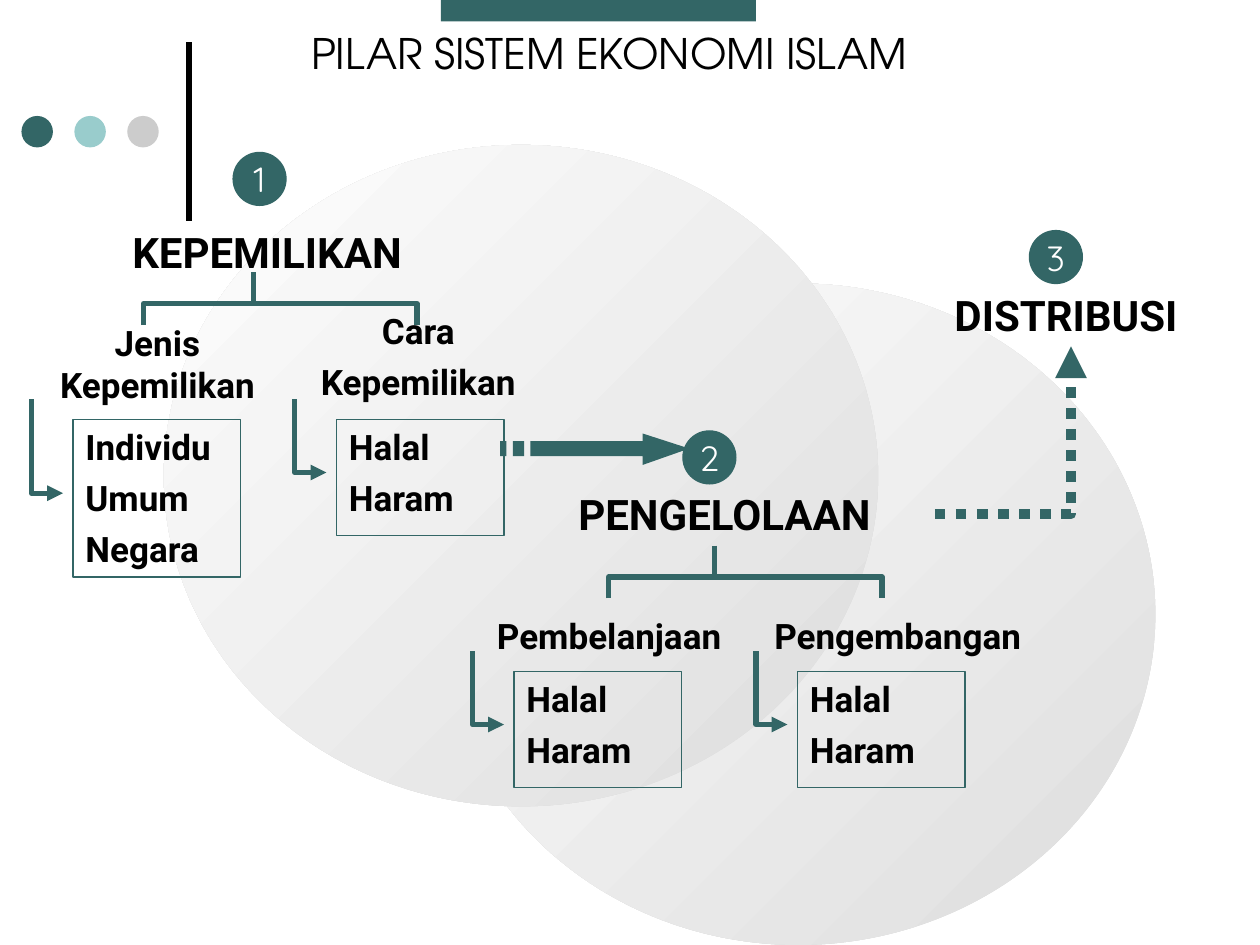
from dataclasses import dataclass

from lxml.etree import SubElement
from pptx import Presentation
from pptx.dml.color import RGBColor
from pptx.enum.dml import MSO_LINE
from pptx.enum.shapes import MSO_CONNECTOR, MSO_SHAPE
from pptx.enum.text import MSO_ANCHOR, MSO_AUTO_SIZE, PP_ALIGN
from pptx.oxml.ns import qn
from pptx.util import Inches, Pt

Point = tuple[float, float]


@dataclass(frozen=True)
class Theme:
    teal: str = "336666"
    aqua: str = "99CCCC"
    grey: str = "CCCCCC"
    shade: str = "DDDDDD"
    light: str = "FEFEFE"
    black: str = "000000"
    white: str = "FFFFFF"
    title: str = "TeX Gyre Adventor"
    body: str = "Roboto"
    digit: str = "Quicksand"
    large: int = 24
    small: int = 20
    thin: float = 0.75
    thick: float = 3
    heavy: float = 6


@dataclass(frozen=True)
class Pillar:
    number: str
    name: str
    head: Point
    badge: Point


@dataclass(frozen=True)
class Label:
    lines: tuple[str, ...]
    x: float
    y: float
    w: float
    h: float


@dataclass(frozen=True)
class Group:
    items: tuple[str, ...]
    x: float
    y: float
    h: float = 0.92


@dataclass(frozen=True)
class Fork:
    x: float
    y: float
    stem: float


THEME = Theme()
CHOICE = ("Halal", "Haram")
PILLARS = (
    Pillar("1", "KEPEMILIKAN", (0.58, 1.75), (1.85, 1.21)),
    Pillar("2", "PENGELOLAAN", (4.21, 3.83), (5.42, 3.42)),
    Pillar("3", "DISTRIBUSI", (6.92, 2.25), (8.17, 1.83)),
)
LABELS = (
    Label(("Jenis Kepemilikan",), 0.25, 2.5, 2, 0.75),
    Label(("Cara", "Kepemilikan"), 2.32, 2.41, 2, 0.75),
    Label(("Pembelanjaan",), 3.75, 4.83, 2.17, 0.42),
    Label(("Pengembangan",), 6, 4.83, 2.25, 0.42),
)
GROUPS = (
    Group(("Individu", "Umum", "Negara"), 0.58, 3.33, 1.25),
    Group(CHOICE, 2.67, 3.33),
    Group(CHOICE, 4.08, 5.33),
    Group(CHOICE, 6.33, 5.33),
)
FORKS = (Fork(1.14, 2.41, 2.01), Fork(4.83, 4.58, 5.67))


def tint(code: str) -> RGBColor:
    return RGBColor.from_string(code)


def write(frame, lines, *, size=THEME.small, font=THEME.body, color=THEME.black,
          bold=True, align=PP_ALIGN.CENTER, anchor=MSO_ANCHOR.TOP, wrap=True,
          gap=5, fit=MSO_AUTO_SIZE.NONE) -> None:
    frame.auto_size = fit
    frame.word_wrap = wrap
    frame.vertical_anchor = anchor
    for index, line in enumerate(lines):
        para = frame.paragraphs[0] if index == 0 else frame.add_paragraph()
        para.alignment = align
        para.space_before = Pt(gap if index else 0)
        run = para.add_run()
        run.text = line
        run.font.size, run.font.name, run.font.bold = Pt(size), font, bold
        run.font.color.rgb = tint(color)


def ink(line, width: float, color: str = THEME.teal) -> None:
    line.color.rgb = tint(color)
    line.width = Pt(width)


def shape(slide, kind, x: float, y: float, w: float, h: float, *,
          fill: str | None = None, edge: float | None = None):
    item = slide.shapes.add_shape(kind, Inches(x), Inches(y), Inches(w), Inches(h))
    item.shadow.inherit = False
    if fill:
        item.fill.solid()
        item.fill.fore_color.rgb = tint(fill)
    else:
        item.fill.background()
    if edge:
        ink(item.line, edge)
    else:
        item.line.fill.background()
    return item


def disc(slide, x: float, y: float) -> None:
    item = shape(slide, MSO_SHAPE.OVAL, x, y, 5.67, 5.25)
    item.fill.gradient()
    item.fill.gradient_angle = 135
    for stop, code in zip(item.fill.gradient_stops, (THEME.shade, THEME.light)):
        stop.color.rgb = tint(code)


def textbox(slide, label: Label, **style) -> None:
    box = slide.shapes.add_textbox(*map(Inches, (label.x, label.y, label.w, label.h)))
    write(box.text_frame, label.lines, **style)


def straight(slide, start: Point, end: Point, color: str = THEME.teal) -> None:
    line = slide.shapes.add_connector(
        MSO_CONNECTOR.STRAIGHT, *map(Inches, (*start, *end)))
    ink(line.line, THEME.thick, color)
    SubElement(line._element.spPr, qn("a:effectLst"))


def outline(slide, parts: list[list[Point]], close: bool = False):
    parts = [[(Inches(x), Inches(y)) for x, y in part] for part in parts]
    pen = slide.shapes.build_freeform(*parts[0][0])
    for index, part in enumerate(parts):
        if index:
            pen.move_to(*part[0])
        pen.add_line_segments(part[1:], close=close)
    item = pen.convert_to_shape()
    item.shadow.inherit = False
    return item


def bent(slide, points: list[Point], width: float = THEME.thick,
         dash=None, arrow: bool = True) -> None:
    item = outline(slide, [points])
    item.fill.background()
    ink(item.line, width)
    if dash:
        item.line.dash_style = dash
    if arrow:
        SubElement(item.line._get_or_add_ln(), qn("a:tailEnd"), type="triangle")


def block(x: float, y: float, w: float, h: float) -> list[Point]:
    return [(x, y), (x + w, y), (x + w, y + h), (x, y + h)]


def list_box(slide, group: Group) -> None:
    box = shape(slide, MSO_SHAPE.RECTANGLE, group.x, group.y, 1.33, group.h,
                edge=THEME.thin)
    write(box.text_frame, group.items, align=PP_ALIGN.LEFT)
    left, top = group.x - 0.33, group.y - 0.16
    base = top + group.h / 2 + 0.12
    bent(slide, [(left, top), (left, base), (left + 0.25, base)])


def fork(slide, item: Fork) -> None:
    right, foot = item.x + 2.17, item.y + 0.17
    bent(slide, [(item.x, foot), (item.x, item.y), (right, item.y), (right, foot)],
         arrow=False)
    straight(slide, (item.stem, item.y - 0.25), (item.stem, item.y))


def main() -> None:
    deck = Presentation()
    deck.slide_width, deck.slide_height = Inches(10), Inches(7.5)
    slide = deck.slides.add_slide(deck.slide_layouts[5])

    # Title and page trim
    title = slide.shapes.title
    title.left, title.top, title.width, title.height = map(
        Inches, (1.42, 0.17, 6.83, 0.5))
    write(title.text_frame, ["PILAR SISTEM EKONOMI ISLAM"], size=THEME.large,
          font=THEME.title, bold=False, fit=MSO_AUTO_SIZE.SHAPE_TO_FIT_TEXT)
    straight(slide, (1.5, 1.75), (1.5, 0.33), THEME.black)
    for index, code in enumerate((THEME.teal, THEME.aqua, THEME.grey)):
        shape(slide, MSO_SHAPE.OVAL, 0.17 + 0.42 * index, 0.92, 0.25, 0.25, fill=code)
    shape(slide, MSO_SHAPE.RECTANGLE, 3.5, 0, 2.5, 0.17, fill=THEME.teal)

    # Backdrop discs
    disc(slide, 3.5, 2.25)
    disc(slide, 1.3, 1.15)

    # Numbered pillars
    for pillar in PILLARS:
        textbox(slide, Label((pillar.name,), *pillar.head, 3.08, 0.5), size=THEME.large)
        badge = shape(slide, MSO_SHAPE.OVAL, *pillar.badge, 0.42, 0.42,
                      fill=THEME.teal, edge=THEME.thin)
        write(badge.text_frame, [pillar.number], font=THEME.digit, color=THEME.white,
              bold=False, anchor=MSO_ANCHOR.MIDDLE, wrap=False)

    # Branches and their lists
    for label in LABELS:
        textbox(slide, label)
    for group in GROUPS:
        list_box(slide, group)
    for item in FORKS:
        fork(slide, item)

    # Striped arrow to pillar 2, dotted arrow to pillar 3
    head = [(4.21, 3.5), (5.1, 3.5), (5.1, 3.44), (5.47, 3.56), (5.1, 3.69),
            (5.1, 3.62), (4.21, 3.62)]
    arrow = outline(slide, [head, block(3.97, 3.5, 0.05, 0.12),
                            block(4.07, 3.5, 0.09, 0.12)], close=True)
    arrow.fill.solid()
    arrow.fill.fore_color.rgb = tint(THEME.teal)
    arrow.line.fill.background()
    bent(slide, [(7.42, 4.08), (8.5, 4.08), (8.5, 2.75)], THEME.heavy,
         MSO_LINE.ROUND_DOT)

    deck.save("out.pptx")


if __name__ == "__main__":
    main()
